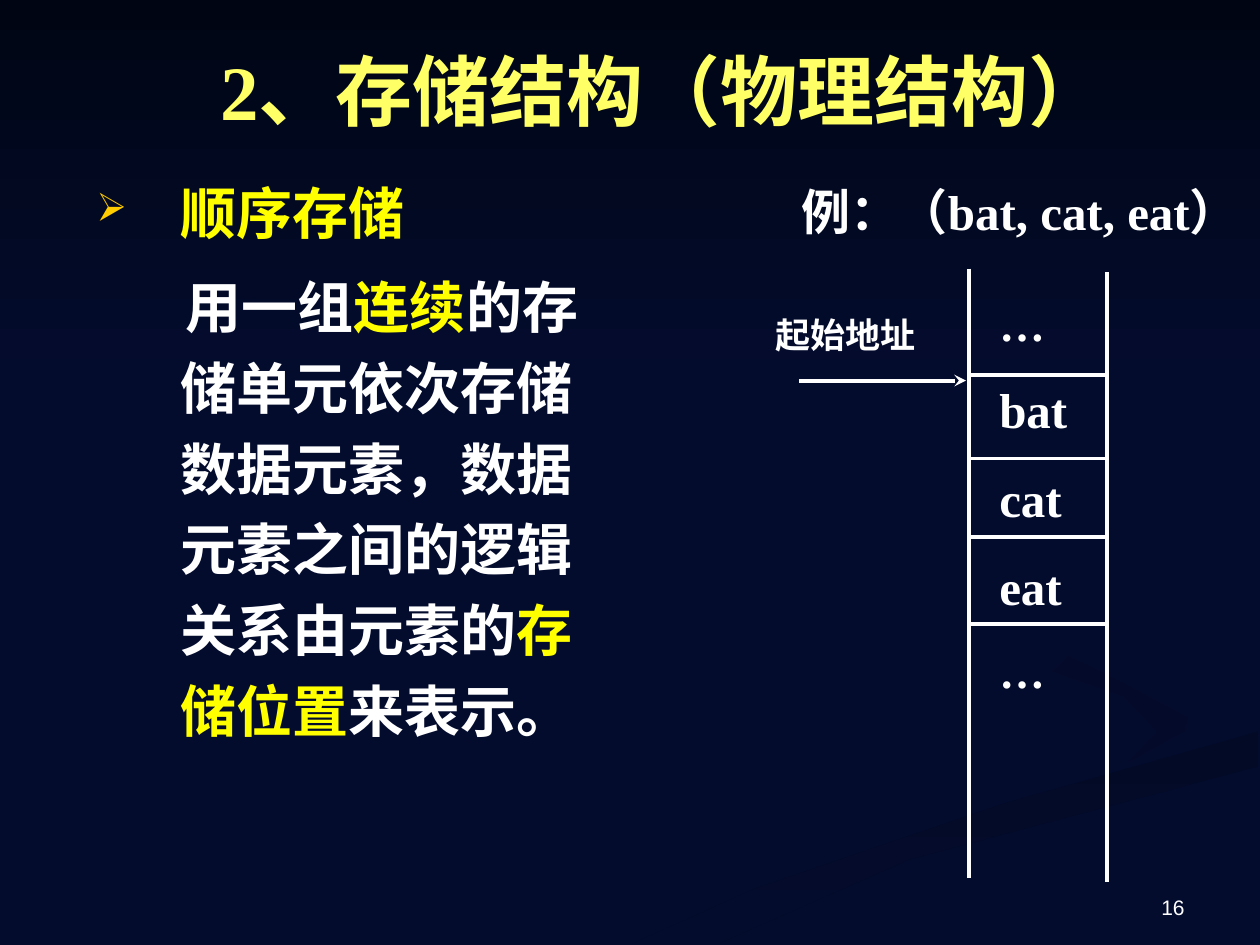
from lxml.etree import SubElement
from pptx import Presentation
from pptx.dml.color import RGBColor
from pptx.enum.shapes import MSO_CONNECTOR, MSO_SHAPE
from pptx.enum.text import MSO_ANCHOR as ANCHOR, PP_ALIGN as ALIGN
from pptx.oxml.ns import qn
from pptx.util import Pt

NAVY = RGBColor(0x04, 0x0C, 0x2E)
DEEP_NAVY = RGBColor(0x04, 0x0B, 0x2A)
DARK_NAVY = RGBColor(0x03, 0x0A, 0x26)
NIGHT = RGBColor(0x00, 0x05, 0x14)
WHITE = RGBColor(0xFF, 0xFF, 0xFF)
YELLOW = RGBColor(0xFF, 0xFF, 0x00)
PALE_YELLOW = RGBColor(0xFF, 0xFF, 0x66)
GOLD = RGBColor(0xFF, 0xCC, 0x00)

SERIF = "Times New Roman"
WIDTH, HEIGHT = 720, 540

LOWER_BAND = [(362, 539), (411, 539), (520, 491), (719, 438),
              (719, 418), (574, 459), (431, 508)]
HOOK = [(679, 410), (626, 382), (521, 334), (544, 364),
        (642, 398), (661, 418), (644, 436), (677, 418)]


def apply_format(target, values):
    for name, value in values.items():
        setattr(target, name, value)


def add_text_frame(slide, box, margins=(7.2, 3.6), anchor=ANCHOR.TOP):
    frame = slide.shapes.add_textbox(*map(Pt, box)).text_frame
    side, edge = map(Pt, margins)
    apply_format(frame, dict(word_wrap=True, vertical_anchor=anchor,
                             margin_left=side, margin_right=side,
                             margin_top=edge, margin_bottom=edge))
    return frame


def add_run(paragraph, text, size, color=WHITE, bold=True, name=SERIF):
    run = paragraph.add_run()
    run.text = text
    apply_format(run.font, dict(size=Pt(size), bold=bold, name=name))
    run.font.color.rgb = color


def add_label(slide, box, text, size, align=ALIGN.LEFT, frame_format=None, **font):
    paragraph = add_text_frame(slide, box, **(frame_format or {})).paragraphs[0]
    paragraph.alignment = align
    add_run(paragraph, text, size, **font)
    return paragraph


def add_line(slide, x1, y1, x2, y2, arrow=False):
    line = slide.shapes.add_connector(MSO_CONNECTOR.STRAIGHT,
                                      *map(Pt, (x1, y1, x2, y2)))
    line.line.color.rgb = WHITE
    line.line.width = Pt(2.25)
    if arrow:
        SubElement(line.line._get_or_add_ln(), qn("a:tailEnd"), type="stealth")
    SubElement(line._element.spPr, qn("a:effectLst"))


def paint_gradient(shape, first, last, angle):
    shape.shadow.inherit = False
    shape.line.fill.background()
    shape.fill.gradient()
    shape.fill.gradient_angle = angle
    for stop, color in zip(shape.fill.gradient_stops, (first, last)):
        stop.color.rgb = color


def add_ribbon(slide, outline, *gradient):
    builder = slide.shapes.build_freeform(*outline[0], scale=Pt(1))
    builder.add_line_segments(outline[1:], close=True)
    paint_gradient(builder.convert_to_shape(), *gradient)


def add_backdrop(slide):
    fill = slide.background.fill
    fill.solid()
    fill.fore_color.rgb = NAVY
    add_ribbon(slide, HOOK, NAVY, DEEP_NAVY, 315)
    add_ribbon(slide, LOWER_BAND, DARK_NAVY, NAVY, 270)
    sky = slide.shapes.add_shape(MSO_SHAPE.RECTANGLE, 0, 0, Pt(WIDTH), Pt(222))
    paint_gradient(sky, NIGHT, NAVY, 270)


def set_indent(paragraph, left, first, bullet=None):
    properties = paragraph._p.get_or_add_pPr()
    properties.set("marL", str(Pt(left)))
    properties.set("indent", str(Pt(first)))
    if bullet:
        color = SubElement(properties, qn("a:buClr"))
        SubElement(color, qn("a:srgbClr"), val=str(GOLD))
        SubElement(properties, qn("a:buSzPct"), val="70000")
        SubElement(properties, qn("a:buChar"), char=bullet)
    else:
        SubElement(properties, qn("a:buNone"))


def add_definition(slide, box):
    frame = add_text_frame(slide, box)
    heading = frame.paragraphs[0]
    set_indent(heading, 48, -48, "➢")
    heading.line_spacing = 1.1
    add_run(heading, "顺序存储", 32, YELLOW)

    explanation = frame.add_paragraph()
    set_indent(explanation, 48, 3)
    apply_format(explanation, dict(line_spacing=1.2, space_before=Pt(8)))
    for text, color in [
            ("用一组", WHITE), ("连续", YELLOW),
            ("的存储单元依次存储数据元素，数据元素之间的逻辑关系由元素的", WHITE),
            ("存储位置", YELLOW), ("来表示。", WHITE)]:
        add_run(explanation, text, 32, color)


def add_memory_diagram(slide, box):
    """Memory column at the right of the box, example and start address at its left."""
    left, top, width, height = box
    column_left, column_right = left + 112.5, left + 191.5
    add_line(slide, column_left, top + 53.5, column_left, top + height - 2)
    add_line(slide, column_right, top + 55.5, column_right, top + height)

    cells = add_text_frame(slide, (left + 130, top + 50, 48, 276), (0, 3.6))
    for index, content in enumerate(["…", "bat", "cat", "eat", "…"]):
        cell = cells.add_paragraph() if index else cells.paragraphs[0]
        apply_format(cell, dict(alignment=ALIGN.JUSTIFY, line_spacing=1.5))
        add_run(cell, content, 26 if content == "…" else 28)
    for offset in (114.5, 162, 207, 256.5):
        add_line(slide, column_left, top + offset, column_right, top + offset)

    address = add_label(slide, (left + 0.5, top + 80, 103, 33), "起始地址", 20,
                        ALIGN.JUSTIFY, dict(margins=(1.44, 0.72)))
    address.line_spacing = 0.96
    add_line(slide, left + 15.5, top + 117.5, column_left - 1.5, top + 117.5, arrow=True)
    add_label(slide, (left + 9.7, top, width, 75), "例：（bat, cat, eat）", 28)


def main():
    deck = Presentation()
    deck.slide_width, deck.slide_height = Pt(WIDTH), Pt(HEIGHT)
    slide = deck.slides.add_slide(deck.slide_layouts[6])
    add_backdrop(slide)
    add_label(slide, (516, 492, 168, 37), "16", 12, ALIGN.RIGHT,
              dict(anchor=ANCHOR.BOTTOM), bold=False, name="Arial")
    add_definition(slide, (48, 94.5, 295, 402))
    add_label(slide, (73, 38, 612, 27), "2、存储结构（物理结构）", 44, ALIGN.CENTER,
              dict(anchor=ANCHOR.MIDDLE), color=PALE_YELLOW)
    add_memory_diagram(slide, (441, 100, 269, 404))
    deck.save("out.pptx")


if __name__ == "__main__":
    main()
